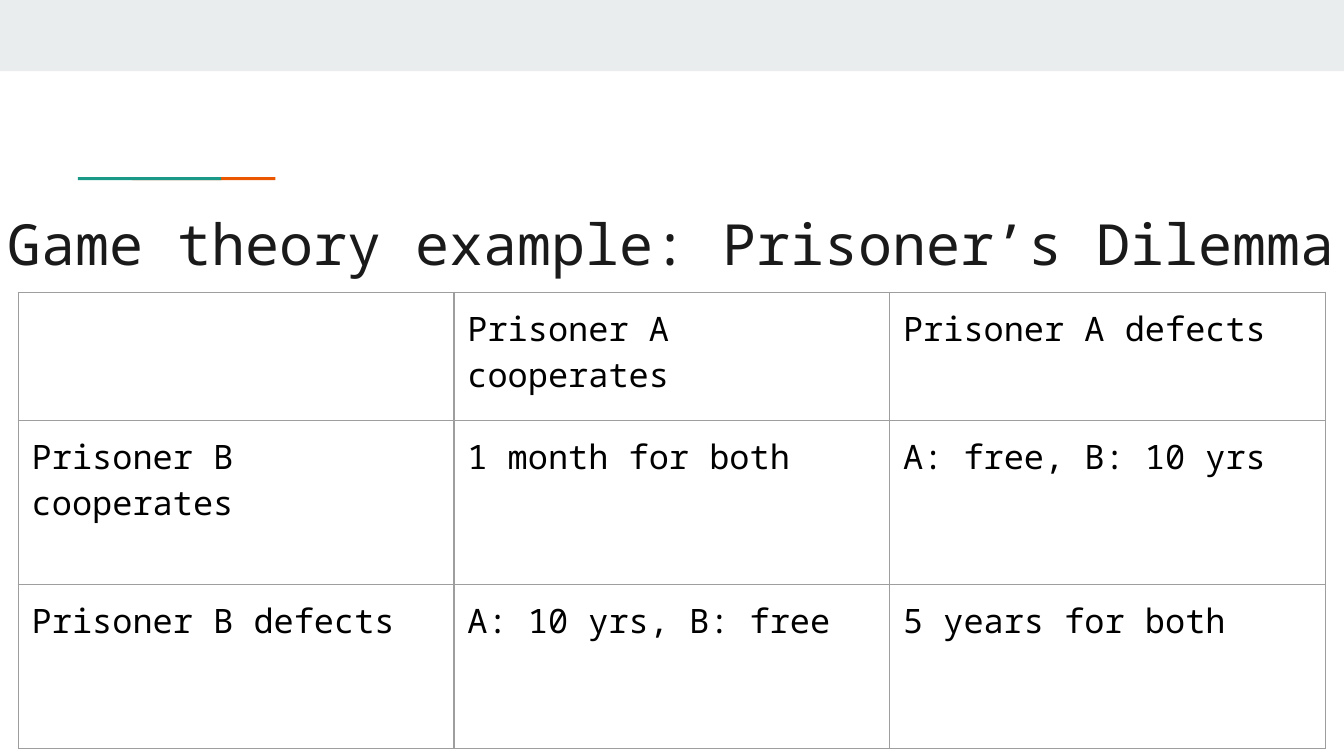
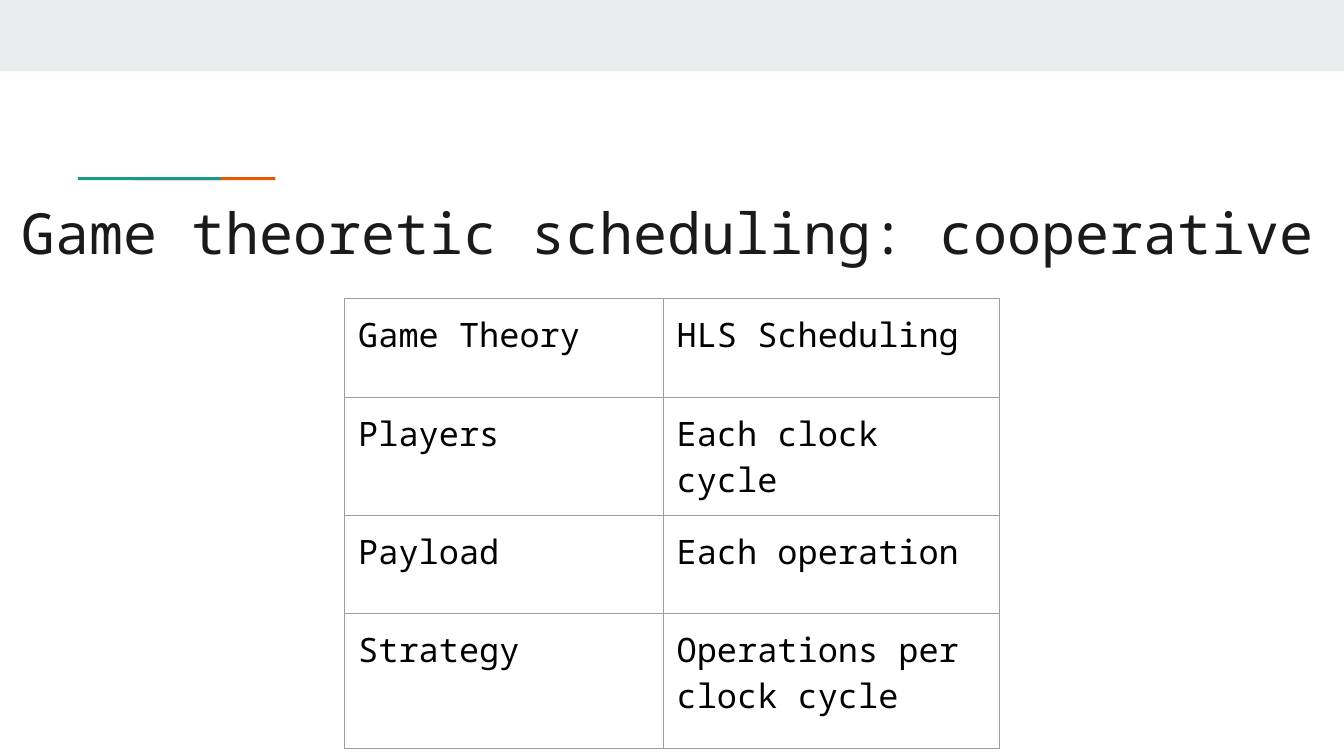
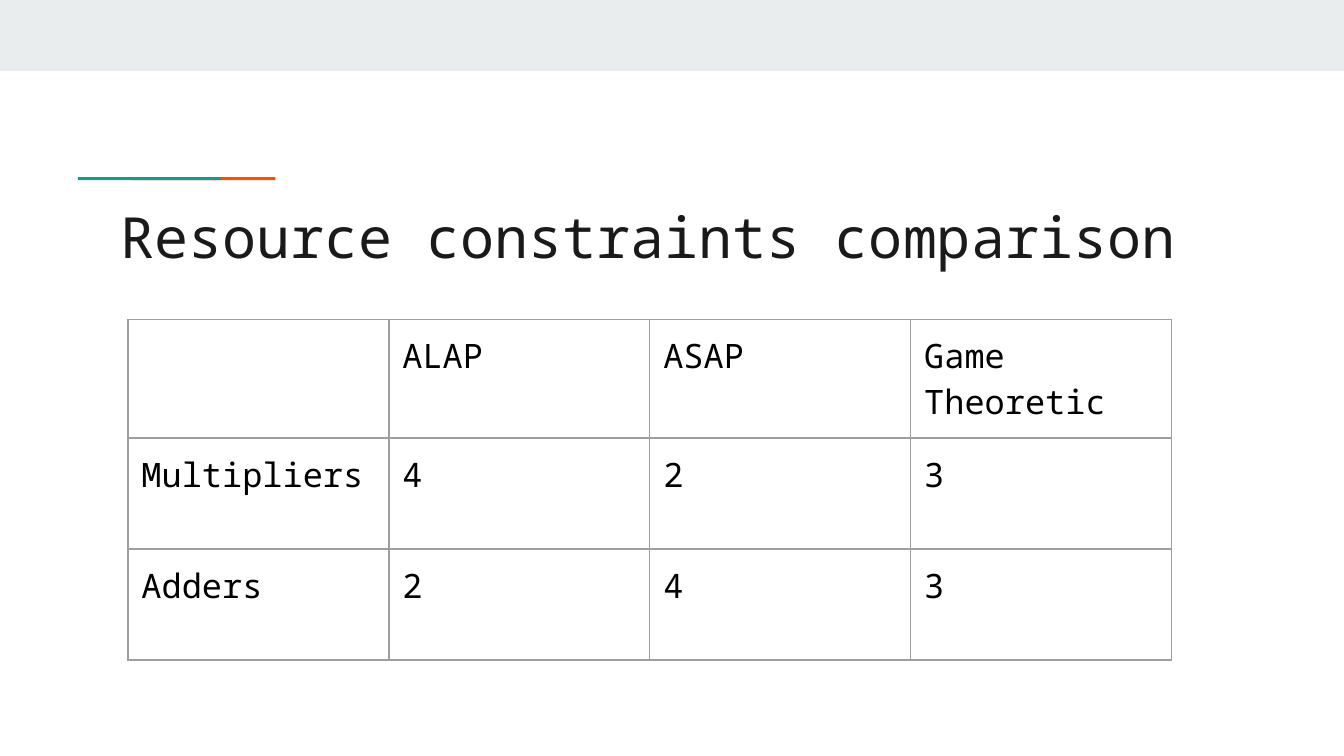
"""Build three table slides on game theory and scheduling."""
from lxml import etree
from pptx import Presentation
from pptx import util as u
from pptx.dml.color import RGBColor
from pptx.enum import shapes, text
from pptx.oxml.ns import qn

FONT = "Noto Sans Mono"
WHITE = RGBColor(0xFF, 0xFF, 0xFF)
BAND = RGBColor(0xE9, 0xED, 0xEE)
ORANGE = RGBColor(0xEB, 0x56, 0x00)
TEAL = RGBColor(0x1A, 0x99, 0x88)
TITLE_INK = RGBColor(0x1A, 0x1A, 0x1A)
CELL_INK = RGBColor(0, 0, 0)
BORDER = RGBColor(0x9E, 0x9E, 0x9E)

INSET = 7.2
TITLE_HEIGHT = 42.5
DECOR = [
    (0, 0, 720, 38.2, BAND),
    (70.9, 94.9, 76.7, 1.6, ORANGE),
    (41.8, 94.9, 76.7, 1.6, TEAL),
]
SLIDES = [
    {
        "title": "Game theory example: Prisoner’s Dilemma",
        "title_at": (-2.9, 107.3, 728),
        "table_at": (9.8, 156.6),
        "columns": [233.4] * 3,
        "rows": [68.6, 87.8, 87.8],
        "cells": [
            ["", "Prisoner A cooperates", "Prisoner A defects"],
            ["Prisoner B cooperates", "1 month for both", "A: free, B: 10 yrs"],
            ["Prisoner B defects", "A: 10 yrs, B: free", "5 years for both"],
        ],
    },
    {
        "title": "Game theoretic scheduling: cooperative",
        "title_at": (4.3, 101.5, 711.4),
        "table_at": (184.7, 159.9),
        "columns": [170.6, 180.2],
        "rows": [53, 63.4, 52.5, 72.2],
        "cells": [
            ["Game Theory", "HLS Scheduling"],
            ["Players", "Each clock cycle"],
            ["Payload", "Each operation"],
            ["Strategy", "Operations per clock cycle"],
        ],
    },
    {
        "title": "Resource constraints comparison",
        "title_at": (57.6, 103.7, 605.5),
        "table_at": (68.6, 171.2),
        "columns": [139.8] * 4,
        "rows": [63.4, 59.5, 59.5],
        "cells": [
            ["", "ALAP", "ASAP", "Game Theoretic"],
            ["Multipliers", "4", "2", "3"],
            ["Adders", "2", "4", "3"],
        ],
    },
]


def style_text(paragraph, size, color):
    for span in paragraph.runs:
        span.font.name = FONT
        span.font.size = u.Pt(size)
        span.font.color.rgb = color


def add_decor(page):
    for left, top, width, height, color in DECOR:
        bar = page.shapes.add_shape(shapes.MSO_SHAPE.RECTANGLE, u.Pt(left), u.Pt(top), u.Pt(width), u.Pt(height))
        bar.shadow.inherit = False
        bar.fill.solid()
        bar.fill.fore_color.rgb = color
        bar.line.fill.background()


def set_margins(holder):
    for side in ("left", "top", "right", "bottom"):
        setattr(holder, f"margin_{side}", u.Pt(INSET))


def add_title(page, title, place):
    left, top, width = place
    box = page.shapes.add_textbox(u.Pt(left), u.Pt(top), u.Pt(width), u.Pt(TITLE_HEIGHT))
    frame = box.text_frame
    frame.word_wrap = True
    frame.vertical_anchor = text.MSO_ANCHOR.TOP
    set_margins(frame)
    frame.text = title
    para = frame.paragraphs[0]
    para.line_spacing = 0.95
    style_text(para, 30.4, TITLE_INK)


def add_borders(cell):
    properties = cell._tc.get_or_add_tcPr()
    for position, tag in enumerate(("a:lnL", "a:lnR", "a:lnT", "a:lnB")):
        line = etree.Element(qn(tag), w=str(u.Pt(0.75)))
        fill = etree.SubElement(line, qn("a:solidFill"))
        etree.SubElement(fill, qn("a:srgbClr"), val=str(BORDER))
        properties.insert(position, line)


def add_grid(page, place, columns, rows, cells):
    left, top = place
    grid = page.shapes.add_table(
        len(rows), len(columns), u.Pt(left), u.Pt(top), u.Pt(sum(columns)), u.Pt(sum(rows))
    ).table
    grid.first_row = False
    grid.horz_banding = False
    for column, width in zip(grid.columns, columns):
        column.width = u.Pt(width)
    for row, height, words in zip(grid.rows, rows, cells):
        row.height = u.Pt(height)
        for cell, word in zip(row.cells, words):
            set_margins(cell)
            cell.fill.background()
            add_borders(cell)
            if word:
                cell.text = word
                style_text(cell.text_frame.paragraphs[0], 18, CELL_INK)


def main():
    deck = Presentation()
    deck.slide_width = u.Pt(720)
    deck.slide_height = u.Pt(405)
    for content in SLIDES:
        page = deck.slides.add_slide(deck.slide_layouts[6])
        page.background.fill.solid()
        page.background.fill.fore_color.rgb = WHITE
        add_decor(page)
        add_title(page, content["title"], content["title_at"])
        add_grid(page, content["table_at"], content["columns"], content["rows"], content["cells"])
    deck.save("out.pptx")


if __name__ == "__main__":
    main()
